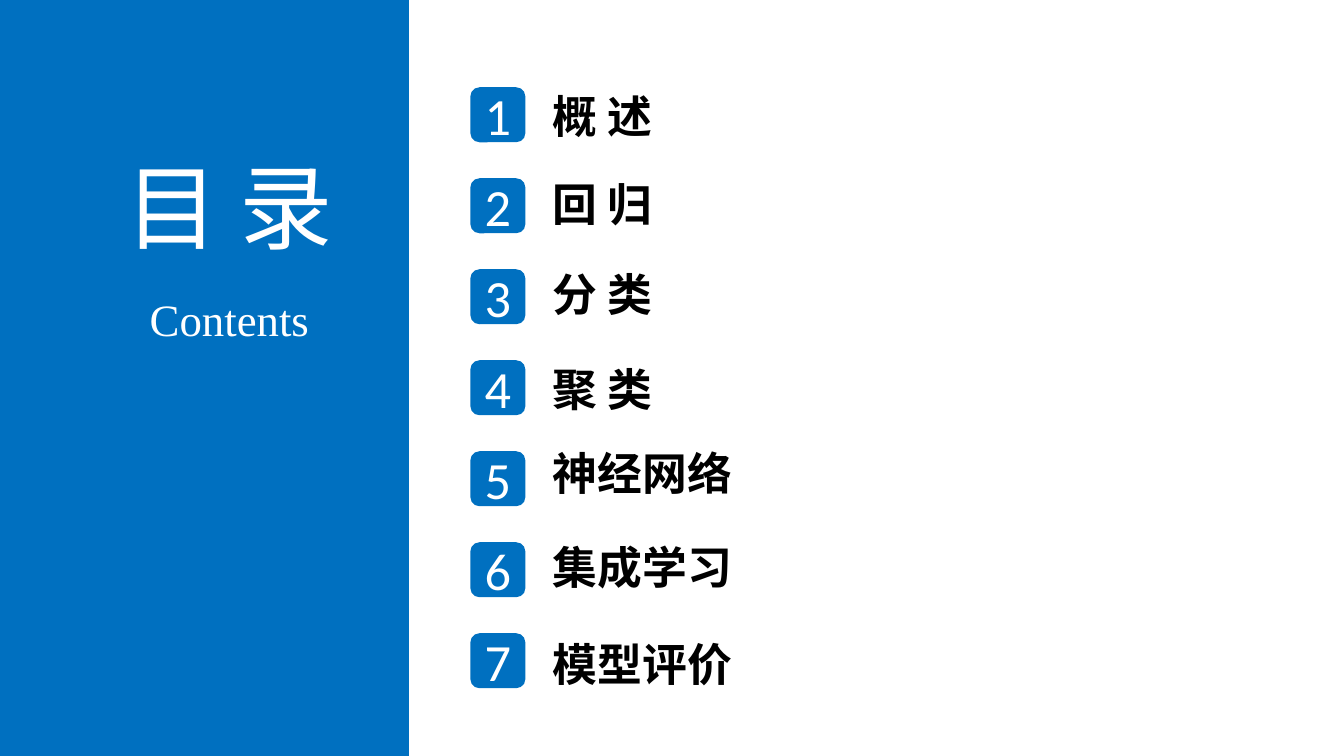
from pptx import Presentation
from pptx.dml.color import RGBColor
from pptx.enum.shapes import MSO_SHAPE
from pptx.enum.text import MSO_ANCHOR, MSO_AUTO_SIZE, PP_ALIGN
from pptx.util import Cm, Pt

COLORS = {"blue": "0070C0", "white": "FFFFFF", "black": "000000"}
BADGE_LEFT, BADGE_TOP, BADGE_SIZE, BADGE_STEP = 8.89, 1.65, 1.04, 1.72
LABEL_LEFT, LABEL_HEIGHT = 10.26, 1.22
CHAPTERS = [
    ("概 述", 1.57, 2.95),
    ("回 归", 3.25, 2.54),
    ("分 类", 4.95, 2.34),
    ("聚 类", 6.73, 2.34),
    ("神经网络", 8.33, 3.81),
    ("集成学习", 10.11, 3.81),
    ("模型评价", 11.94, 3.81),
]


def write_text(shape, text, font_name, size, color, alignment=PP_ALIGN.CENTER,
               anchor=MSO_ANCHOR.TOP, bold=False, wrap=False):
    frame = shape.text_frame
    frame.text = text
    frame.word_wrap = wrap
    frame.auto_size = MSO_AUTO_SIZE.NONE
    frame.vertical_anchor = anchor
    frame.margin_left = frame.margin_right = Cm(0.19)
    frame.margin_top = frame.margin_bottom = Cm(0.1)
    paragraph = frame.paragraphs[0]
    paragraph.alignment = alignment
    font = paragraph.runs[0].font
    font.name = font_name
    font.size = Pt(size)
    font.bold = bold
    font.color.rgb = RGBColor.from_string(COLORS[color])


def add_block(slide, kind, left, top, width, height):
    shape = slide.shapes.add_shape(kind, Cm(left), Cm(top), Cm(width), Cm(height))
    shape.shadow.inherit = False
    shape.fill.solid()
    shape.fill.fore_color.rgb = RGBColor.from_string(COLORS["blue"])
    shape.line.fill.background()
    return shape


def add_badge(slide, number):
    top = BADGE_TOP + (number - 1) * BADGE_STEP
    badge = add_block(slide, MSO_SHAPE.ROUNDED_RECTANGLE,
                      BADGE_LEFT, top, BADGE_SIZE, BADGE_SIZE)
    write_text(badge, str(number), "Calibri", 28, "white",
               anchor=MSO_ANCHOR.MIDDLE, wrap=True)


def add_label(slide, text, left, top, width, **style):
    label = slide.shapes.add_textbox(Cm(left), Cm(top), Cm(width), Cm(LABEL_HEIGHT))
    write_text(label, text, size=24, **style)


def place_title(slide, panel):
    title = slide.shapes.title
    title.left, title.top, title.width, title.height = Cm(1.93), Cm(2.72), Cm(4.8), Cm(2.31)
    write_text(title, "目 录", "Noto Sans CJK SC", 50, "white")
    panel.element.addnext(title.element)


def main():
    presentation = Presentation()
    presentation.slide_width, presentation.slide_height = Cm(25.4), Cm(14.29)
    slide = presentation.slides.add_slide(presentation.slide_layouts[5])

    panel = add_block(slide, MSO_SHAPE.RECTANGLE, -0.02, 0, 7.75, 14.29)
    place_title(slide, panel)
    add_label(slide, "Contents", 2.62, 5.41, 3.43,
              font_name="Times New Roman", color="white")

    for number, (name, top, width) in enumerate(CHAPTERS, start=1):
        add_badge(slide, number)
        add_label(slide, name, LABEL_LEFT, top, width, font_name="Arial",
                  color="black", alignment=PP_ALIGN.LEFT, bold=True)

    presentation.save("out.pptx")


if __name__ == "__main__":
    main()
